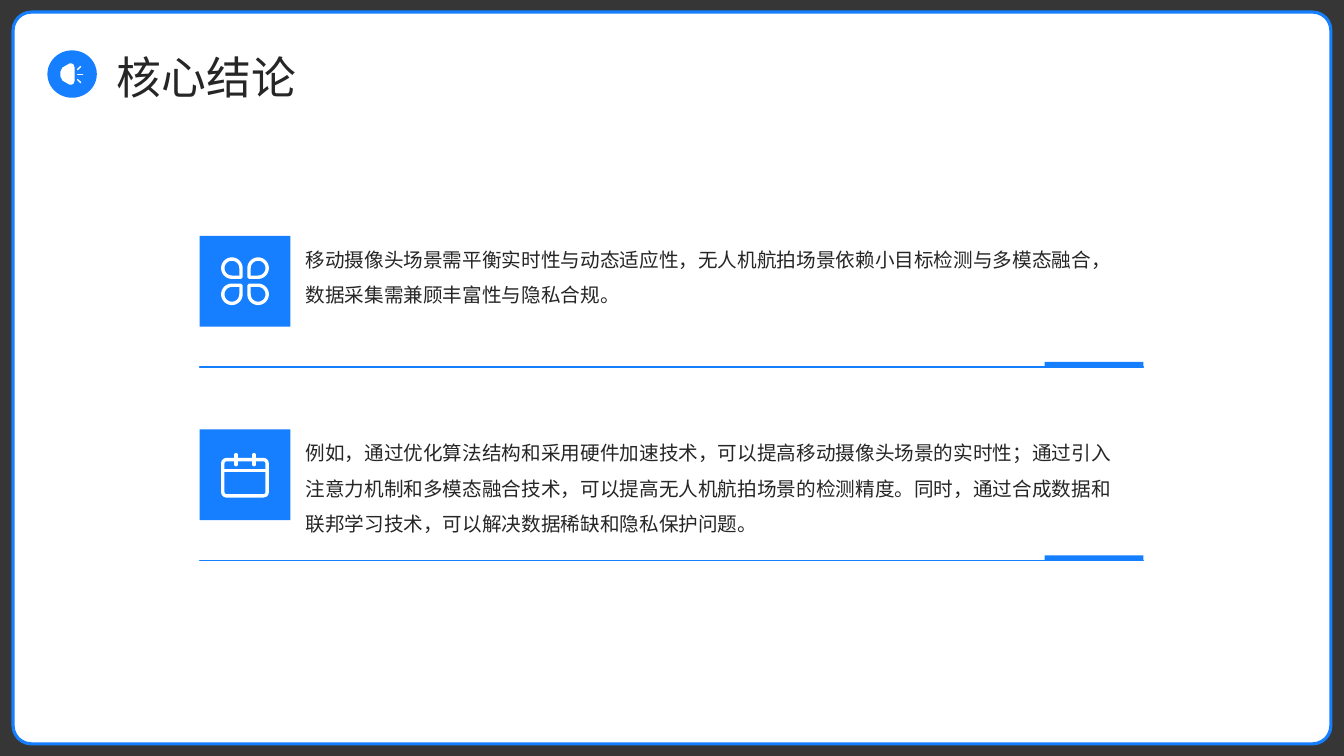
"""Build the slide of core conclusions: a titled card with two icon rows."""
import math
from lxml import etree
from pptx import Presentation, util as u
from pptx.dml.color import RGBColor
from pptx.enum import shapes, text
from pptx.oxml.ns import qn

BLUE, WHITE, INK = "157FFF", "FFFFFF", "262626"
FACE = "Noto Sans CJK SC"
KIND = shapes.MSO_SHAPE
LEFT, RIGHT, TOP, STEP = 1.98, 11.34, 2.34, 1.92
TILE, TAB = 0.9, 0.98
NOTES = [
    "移动摄像头场景需平衡实时性与动态适应性，无人机航拍场景依赖小目标检测与多模态融合，数据采集需兼顾丰富性与隐私合规。",
    "例如，通过优化算法结构和采用硬件加速技术，可以提高移动摄像头场景的实时性；通过引入注意力机制和多模态融合技术，可以提高无人机航拍场景的检测精度。同时，通过合成数据和联邦学习技术，可以解决数据稀缺和隐私保护问题。",
]


def hue(fill, color):
    """Make a fill, line fill or font fill solid."""
    fill.solid()
    fill.fore_color.rgb = RGBColor.from_string(color)


def rule(x1, y1, x2, y2, color, width):
    """Draw a straight line with round ends."""
    ends = [u.Inches(n) for n in (x1, y1, x2, y2)]
    line = slide.shapes.add_connector(shapes.MSO_CONNECTOR.STRAIGHT, *ends)
    hue(line.line.fill, color)
    line.line.width = u.Pt(width)
    props = line.element.spPr
    props.find(qn("a:ln")).set("cap", "rnd")
    etree.SubElement(props, qn("a:effectLst"))


deck = Presentation()
deck.slide_width, deck.slide_height = u.Inches(13.33), u.Inches(7.5)
slide = deck.slides.add_slide(deck.slide_layouts[3])
title, *bodies = slide.placeholders

blocks = [
    (KIND.RECTANGLE, 0, -0.01, 13.33, 7.52, "000000"),
    (KIND.ROUNDED_RECTANGLE, 0.13, 0.12, 13.07, 7.26, WHITE),
    (KIND.OVAL, 0.47, 0.5, 0.49, 0.47, BLUE),
]
for row in range(len(NOTES)):
    y = TOP + row * STEP
    blocks.append((KIND.RECTANGLE, LEFT, y, TILE, TILE, BLUE))
    blocks.append((KIND.RECTANGLE, RIGHT - TAB, y + 1.25, TAB, 0.05, BLUE))
    rule(LEFT, y + 1.3, RIGHT, y + 1.3, BLUE, 1)

drawn = []
for kind, *place, color in blocks:
    block = slide.shapes.add_shape(kind, *[u.Inches(n) for n in place])
    block.shadow.inherit = False
    hue(block.fill, color)
    block.line.fill.background()
    drawn.append(block)

back, card = drawn[:2]
shade = back.element.spPr.find(".//" + qn("a:srgbClr"))
etree.SubElement(shade, qn("a:alpha")).set("val", "79000")
card.adjustments[0] = 0.025
hue(card.line.fill, BLUE)
card.line.width = u.Pt(2.25)
for block in (back, card):
    title.element.addprevious(block.element)

words = [(title, "核心结论", 1.16, 0.5, 11.43, 0.47, 32, 1.1)]
for row, (body, note) in enumerate(zip(bodies, NOTES)):
    words.append((body, note, 3.03, TOP + row * STEP, 8.05, 1.16, 14, 1.5))
for box, note, x, y, w, h, size, gap in words:
    box.left, box.top, box.width, box.height = [u.Inches(n) for n in (x, y, w, h)]
    frame = box.text_frame
    frame.text = note
    frame.word_wrap = True
    frame.auto_size = text.MSO_AUTO_SIZE.NONE
    frame.margin_left = frame.margin_right = frame.margin_top = frame.margin_bottom = 0
    frame.vertical_anchor = text.MSO_ANCHOR.MIDDLE if box is title else text.MSO_ANCHOR.TOP
    para = frame.paragraphs[0]
    para.alignment = text.PP_ALIGN.LEFT
    para.line_spacing = gap
    para.space_before = u.Pt(0)
    props = para.runs[0].font
    props.name, props.size = FACE, u.Pt(size)
    hue(props.fill, INK)
    mark = para.runs[0].font.fill and para.runs[0]._r.get_or_add_rPr()
    etree.SubElement(mark, qn("a:ea")).set("typeface", FACE)
    if box is not title:
        indent = para._p.get_or_add_pPr()
        indent.set("marL", "0")
        indent.set("indent", "0")
        etree.SubElement(indent, qn("a:buNone"))

outlines = []
for across in (-1, 1):
    for down in (-1, 1):
        petal = [(math.cos(math.radians(a)), math.sin(math.radians(a))) for a in range(-90, 181, 10)]
        petal.append((-1, -1))
        outlines.append(([(2.43 + across * (0.13 + 0.09 * p), 2.79 + down * (0.13 + 0.09 * q))
                          for p, q in petal], False))
horn = [(0.6, 0.71), (0.62, 0.67), (0.69, 0.63), (0.71, 0.63), (0.73, 0.64), (0.74, 0.67)]
outlines.append((horn + [(x, 1.47 - y) for x, y in reversed(horn)], True))
for points, solid in outlines:
    start, *rest = [(u.Inches(x), u.Inches(y)) for x, y in points]
    pen = slide.shapes.build_freeform(*start)
    pen.add_line_segments(rest, close=True)
    form = pen.convert_to_shape()
    form.shadow.inherit = False
    if solid:
        hue(form.fill, WHITE)
        form.line.fill.background()
    else:
        form.fill.background()
        hue(form.line.fill, WHITE)
        form.line.width = u.Pt(2.4)

page = slide.shapes.add_shape(KIND.ROUNDED_RECTANGLE, *[u.Inches(n) for n in (2.21, 4.56, 0.44, 0.36)])
page.shadow.inherit = False
page.adjustments[0] = 0.1
page.fill.background()
hue(page.line.fill, WHITE)
page.line.width = u.Pt(2.4)
rule(2.21, 4.67, 2.65, 4.67, WHITE, 2.4)
for x in (2.34, 2.52):
    rule(x, 4.51, x, 4.61, WHITE, 2.4)

rule(0.77, 0.74, 0.82, 0.74, WHITE, 1)
for turn in (-1, 1):
    rule(0.77, 0.74 + turn * 0.05, 0.8, 0.74 + turn * 0.08, WHITE, 1)

deck.save("out.pptx")
